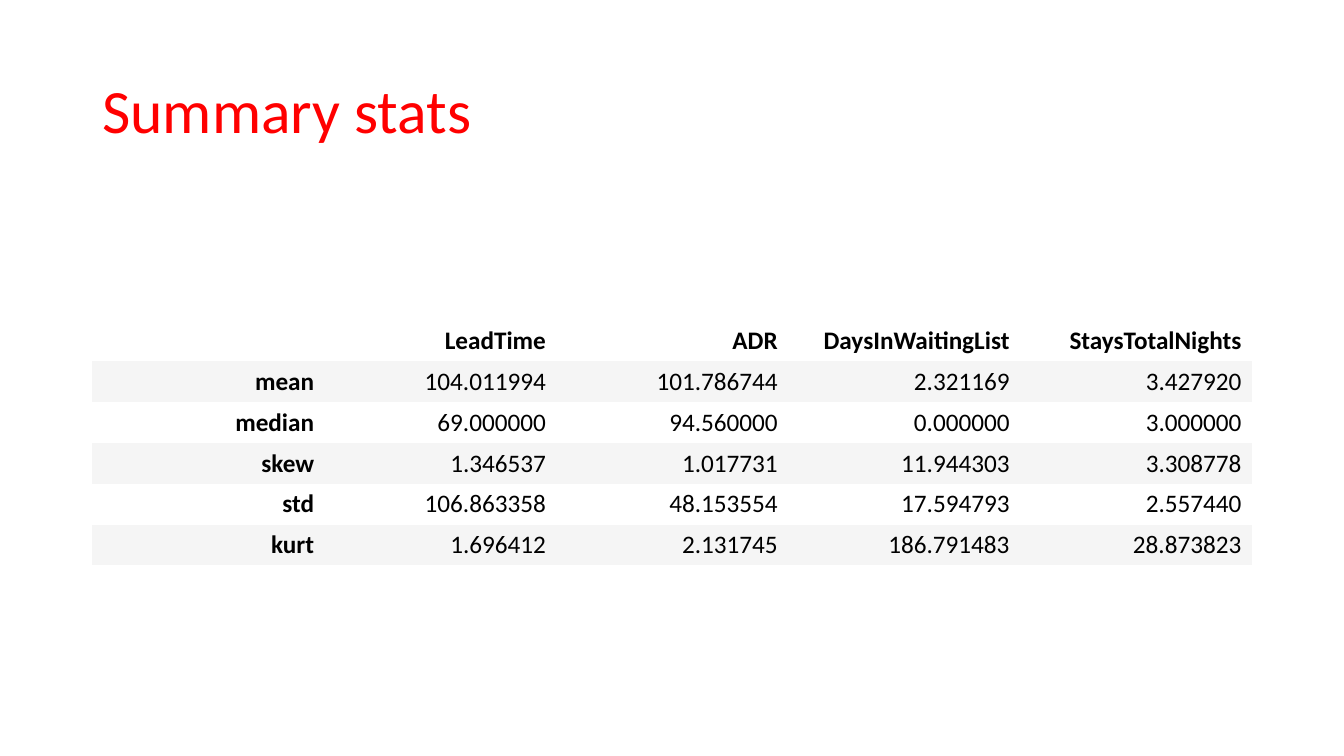
import pptx
import pptx.dml.color
import pptx.enum.text
import pptx.util

Pt = pptx.util.Pt
RGBColor = pptx.dml.color.RGBColor
ALIGN = pptx.enum.text.PP_ALIGN
MIDDLE = pptx.enum.text.MSO_ANCHOR.MIDDLE

RED = RGBColor(0xFF, 0x00, 0x00)
BLACK = RGBColor(0x00, 0x00, 0x00)
WHITE = RGBColor(0xFF, 0xFF, 0xFF)
LIGHT_GRAY = RGBColor(0xF5, 0xF5, 0xF5)

FONT = "Calibri"
LEFT, WIDTH = 66, 828
ROW_HEIGHT = 29.16
PLAIN_TABLE_STYLE = "{2D5ABB26-0587-4C30-8999-92F81FD0307C}"

STATS = [
    ["", "LeadTime", "ADR", "DaysInWaitingList", "StaysTotalNights"],
    ["mean", "104.011994", "101.786744", "2.321169", "3.427920"],
    ["median", "69.000000", "94.560000", "0.000000", "3.000000"],
    ["skew", "1.346537", "1.017731", "11.944303", "3.308778"],
    ["std", "106.863358", "48.153554", "17.594793", "2.557440"],
    ["kurt", "1.696412", "2.131745", "186.791483", "28.873823"],
]


def add_run(paragraph, text, size, color, bold=False):
    run = paragraph.add_run()
    run.text = text
    run.font.name = FONT
    run.font.size = Pt(size)
    run.font.bold = bold
    run.font.color.rgb = color


def add_title(slide, text):
    shape = slide.shapes.add_textbox(Pt(LEFT), Pt(28.75), Pt(WIDTH), Pt(104.38))
    frame = shape.text_frame
    frame.word_wrap = True
    frame.vertical_anchor = MIDDLE
    paragraph = frame.paragraphs[0]
    paragraph.line_spacing = 0.9
    add_run(paragraph, text, 44, RED)


def fill_cell(cell, text, background, bold):
    cell.fill.solid()
    cell.fill.fore_color.rgb = background
    cell.vertical_anchor = MIDDLE
    paragraph = cell.text_frame.paragraphs[0]
    paragraph.alignment = ALIGN.RIGHT
    if text:
        add_run(paragraph, text, 18, BLACK, bold)


def add_stats_table(slide, rows):
    frame = slide.shapes.add_table(
        len(rows), len(rows[0]),
        Pt(LEFT), Pt(229), Pt(WIDTH), Pt(ROW_HEIGHT * len(rows)))
    table = frame.table

    # Remove the banded style and its cell borders
    table.first_row = False
    table.horz_banding = False
    table._tbl.tblPr.find(pptx.oxml.ns.qn("a:tableStyleId")).text = PLAIN_TABLE_STYLE

    # Bold header row and label column, alternating row fills
    for row_index, row in enumerate(rows):
        table.rows[row_index].height = Pt(ROW_HEIGHT)
        background = LIGHT_GRAY if row_index % 2 else WHITE
        for column_index, text in enumerate(row):
            bold = row_index == 0 or column_index == 0
            fill_cell(table.cell(row_index, column_index), text, background, bold)


def main():
    presentation = pptx.Presentation()
    presentation.slide_width = Pt(960)
    presentation.slide_height = Pt(540)
    slide = presentation.slides.add_slide(presentation.slide_layouts[6])

    # Heading
    add_title(slide, "Summary stats")

    # Statistics per variable
    add_stats_table(slide, STATS)

    presentation.save("out.pptx")


if __name__ == "__main__":
    main()
